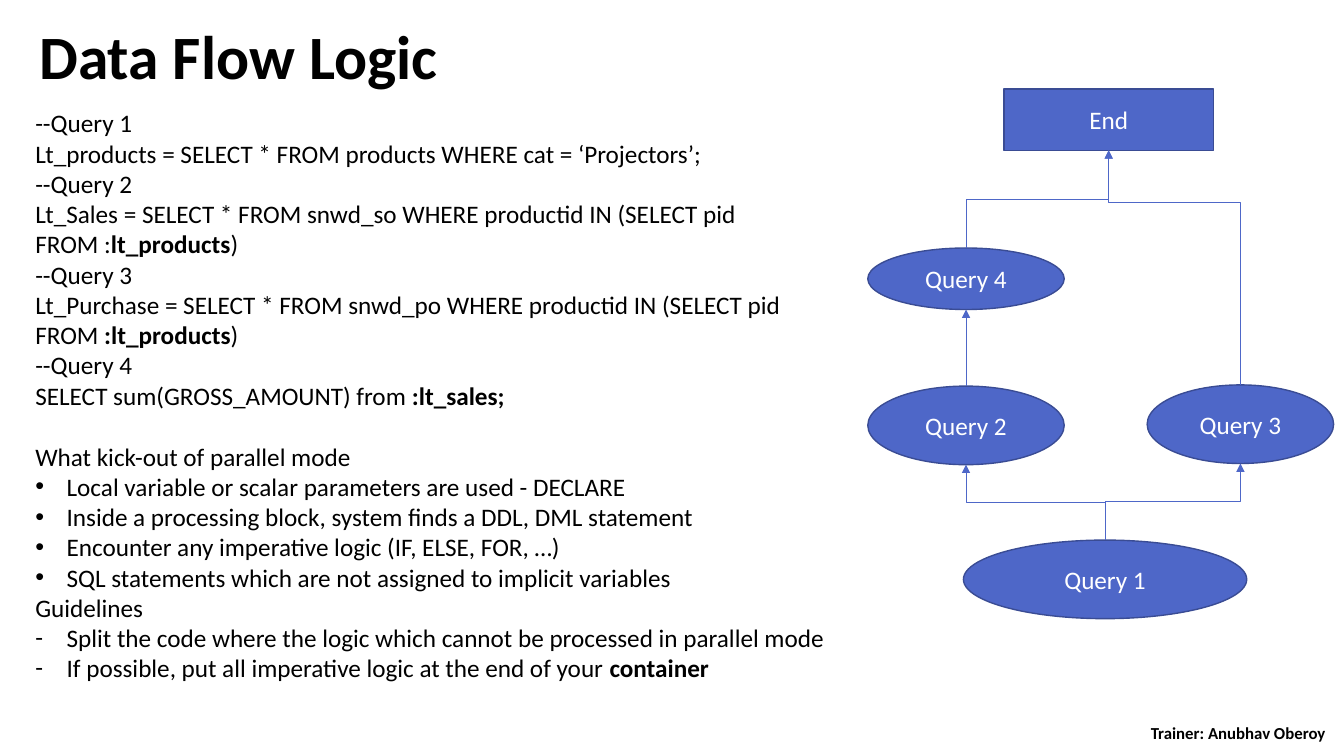
from dataclasses import dataclass

from lxml import etree
from pptx import Presentation
from pptx.dml.color import RGBColor
from pptx.enum.shapes import MSO_CONNECTOR, MSO_SHAPE
from pptx.enum.text import MSO_ANCHOR, PP_ALIGN
from pptx.oxml.ns import qn
from pptx.util import Cm, Pt

ELLIPSE, RECTANGLE = MSO_SHAPE.OVAL, MSO_SHAPE.RECTANGLE
STRAIGHT, ELBOW = MSO_CONNECTOR.STRAIGHT, MSO_CONNECTOR.ELBOW
LEFT, CENTER = PP_ALIGN.LEFT, PP_ALIGN.CENTER
TOP, MIDDLE = MSO_ANCHOR.TOP, MSO_ANCHOR.MIDDLE
COLORS = {"text": "000000", "node": "4E67C8", "outline": "3A4C94", "label": "FFFFFF"}
FONT = "Calibri"
TOP_SITE = 0
INDENT = Cm(0.79)
ROTATION_UP = "16200000"  # 270 degrees: the elbow leaves upwards


@dataclass
class Node:
    label: str
    left: float
    top: float
    width: float
    height: float
    kind: int = ELLIPSE

    @property
    def center(self) -> float:
        return self.left + self.width / 2

    @property
    def bottom(self) -> float:
        return self.top + self.height


@dataclass
class Flow:
    source: str
    target: str
    bend: float = 0.5


@dataclass
class Line:
    pieces: list[str]  # every second piece is bold
    bullet: str = ""
    space_before: float = 0


NODES = [
    Node("Query 1", 24.28, 13.61, 7.14, 1.98),
    Node("Query 3", 28.91, 9.7, 4.7, 1.98),
    Node("Query 4", 21.87, 6.25, 4.95, 1.55),
    Node("Query 2", 21.87, 9.73, 4.95, 1.98),
    Node("End", 25.3, 2.24, 5.28, 1.55, RECTANGLE),
]
FLOWS = [
    Flow("Query 1", "Query 2"),
    Flow("Query 1", "Query 3"),
    Flow("Query 2", "Query 4"),
    Flow("Query 4", "End"),
    Flow("Query 3", "End", 0.78),
]
BODY = [
    Line(["--Query 1"]),
    Line(["Lt_products = SELECT * FROM products WHERE cat = ‘Projectors’;"]),
    Line(["--Query 2"]),
    Line(["Lt_Sales = SELECT * FROM snwd_so WHERE productid IN (SELECT pid FROM :", "lt_products", ")"]),
    Line(["--Query 3"]),
    Line(["Lt_Purchase = SELECT * FROM snwd_po WHERE productid IN (SELECT pid FROM ", ":lt_products", ")"]),
    Line(["--Query 4"]),
    Line(["SELECT sum(GROSS_AMOUNT) from ", ":lt_sales;"]),
    Line(["What kick-out of parallel mode"], space_before=22),
    Line(["Local variable or scalar parameters are used - DECLARE"], "•"),
    Line(["Inside a processing block, system finds a DDL, DML statement"], "•"),
    Line(["Encounter any imperative logic (IF, ELSE, FOR, …)"], "•"),
    Line(["SQL statements which are not assigned to implicit variables"], "•"),
    Line(["Guidelines"]),
    Line(["Split the code where the logic which cannot be processed in parallel mode"], "-"),
    Line(["If possible, put all imperative logic at the end of your ", "container"], "-"),
]


def write_text(paragraph, text: str, *, size=18, bold=False, color="text", align=LEFT) -> None:
    paragraph.alignment = align
    run = paragraph.add_run()
    run.text = text
    run.font.name = FONT
    run.font.size = Pt(size)
    run.font.bold = bold
    run.font.color.rgb = RGBColor.from_string(COLORS[color])


def add_frame(slide, left: float, top: float, width: float, height: float, anchor=TOP):
    frame = slide.shapes.add_textbox(Cm(left), Cm(top), Cm(width), Cm(height)).text_frame
    frame.word_wrap = True
    frame.vertical_anchor = anchor
    return frame


def add_bullet(paragraph, character: str) -> None:
    properties = paragraph._p.get_or_add_pPr()
    properties.set("marL", str(INDENT))
    properties.set("indent", str(-INDENT))
    font = etree.SubElement(properties, qn("a:buFont"))
    font.set("typeface", "Arial" if character == "•" else FONT)
    etree.SubElement(properties, qn("a:buChar")).set("char", character)


def add_body(slide, lines: list[Line]) -> None:
    frame = add_frame(slide, 0.64, 2.59, 21.72, 14.88)
    for number, line in enumerate(lines):
        paragraph = frame.add_paragraph() if number else frame.paragraphs[0]
        if line.space_before:
            paragraph.space_before = Pt(line.space_before)
        for index, piece in enumerate(line.pieces):
            write_text(paragraph, piece, bold=index % 2 == 1)
        if line.bullet:
            add_bullet(paragraph, line.bullet)


def add_node(slide, node: Node):
    shape = slide.shapes.add_shape(
        node.kind, Cm(node.left), Cm(node.top), Cm(node.width), Cm(node.height))
    shape.shadow.inherit = False
    shape.fill.solid()
    shape.fill.fore_color.rgb = RGBColor.from_string(COLORS["node"])
    shape.line.color.rgb = RGBColor.from_string(COLORS["outline"])
    shape.line.width = Pt(1)
    shape.text_frame.vertical_anchor = MIDDLE
    write_text(shape.text_frame.paragraphs[0], node.label, color="label", align=CENTER)
    return shape


def add_flow(slide, flow: Flow, nodes: dict[str, Node], shapes: dict) -> None:
    source, target = nodes[flow.source], nodes[flow.target]
    run, rise = target.center - source.center, source.top - target.bottom
    if run == 0:
        connector = slide.shapes.add_connector(
            STRAIGHT, Cm(source.center), Cm(source.top), Cm(target.center), Cm(target.bottom))
        connector.begin_connect(shapes[flow.source], TOP_SITE)
    else:
        # Lay the elbow flat around its middle, then turn it upwards
        x, y = source.center + run / 2, source.top - rise / 2
        connector = slide.shapes.add_connector(
            ELBOW, Cm(x - rise / 2), Cm(y - run / 2), Cm(x + rise / 2), Cm(y + run / 2))
        properties = connector._element.spPr
        properties.find(qn("a:xfrm")).set("rot", ROTATION_UP)
        adjustments = properties.find(qn("a:prstGeom")).find(qn("a:avLst"))
        guide = etree.SubElement(adjustments, qn("a:gd"))
        guide.set("name", "adj1")
        guide.set("fmla", f"val {round(flow.bend * 100000)}")
    connector.line.color.rgb = RGBColor.from_string(COLORS["node"])
    connector.line.width = Pt(0.5)
    properties = connector._element.spPr
    etree.SubElement(properties.find(qn("a:ln")), qn("a:tailEnd")).set("type", "triangle")
    etree.SubElement(properties, qn("a:effectLst"))


def main() -> None:
    presentation = Presentation()
    presentation.slide_width, presentation.slide_height = Cm(33.87), Cm(19.05)
    slide = presentation.slides.add_slide(presentation.slide_layouts[6])

    # Title and trainer line
    title = add_frame(slide, 0.74, 0.53, 31.37, 1.98).paragraphs[0]
    title.line_spacing = 0.9
    write_text(title, "Data Flow Logic", size=44, bold=True)
    trainer = add_frame(slide, 28.12, 18.19, 6.17, 0.56, MIDDLE).paragraphs[0]
    write_text(trainer, "Trainer: Anubhav Oberoy", size=12, bold=True, align=CENTER)

    # Code and rules
    add_body(slide, BODY)

    # Flow diagram
    nodes = {node.label: node for node in NODES}
    shapes = {node.label: add_node(slide, node) for node in NODES}
    for flow in FLOWS:
        add_flow(slide, flow, nodes, shapes)

    presentation.save("out.pptx")


if __name__ == "__main__":
    main()
